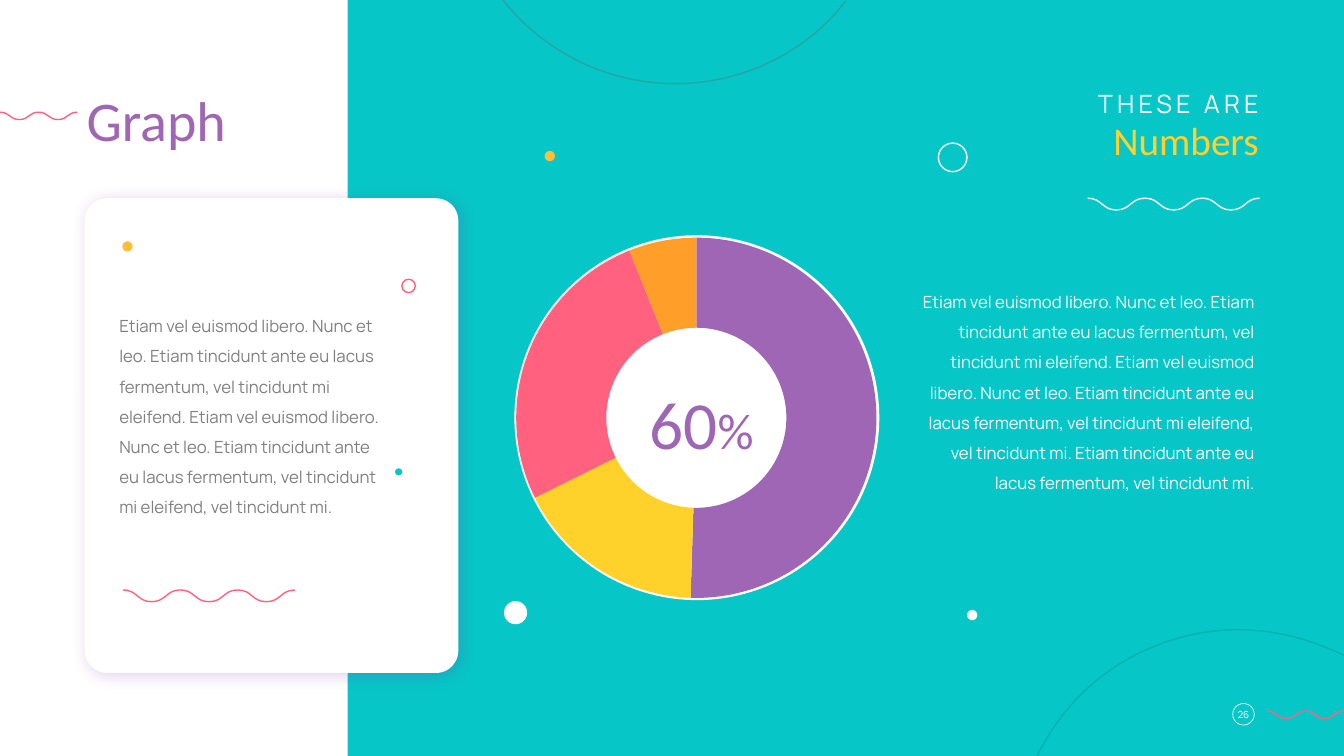
"""Build the Graph slide: a text card, a doughnut chart and wavy ornaments."""
from lxml import etree
from pptx import Presentation, util as u
from pptx.chart import data
from pptx.dml import color
from pptx.enum import chart as charts, shapes, text
from pptx.oxml import ns

COLUMNS, ROWS = 40, 22.5
CELL = u.Inches(7.5) / ROWS
COLOURS = {
    "white": "FFFFFF", "teal": "07C6C7", "purple": "9E66B5", "pink": "FF617F",
    "yellow": "FFD12A", "orange": "FF9F2A", "amber": "FFBD38", "grey": "808080",
    "label": "7E7F7E", "arc_low": "03B3B3", "arc_high": "25A5A3", "shade": "7030A0",
}
LEFT, CENTRE, RIGHT = (text.PP_ALIGN.LEFT, text.PP_ALIGN.CENTER, text.PP_ALIGN.RIGHT)
LOREM = ("Etiam vel euismod libero. Nunc et leo. Etiam tincidunt ante eu lacus fermentum, "
         "vel tincidunt mi eleifend")
TAIL = "Etiam tincidunt ante eu lacus fermentum, vel tincidunt mi."
CARD_TEXT = f"{LOREM}. {LOREM}, vel tincidunt mi."


def cells(*counts):
    return [u.Emu(round(count * CELL)) for count in counts]


def rgb(name):
    return color.RGBColor.from_string(COLOURS[name])


def paint(shape, fill=None, line=None, weight=1):
    shape.shadow.inherit = False
    if fill:
        shape.fill.solid()
        shape.fill.fore_color.rgb = rgb(fill)
    else:
        shape.fill.background()
    if line:
        shape.line.color.rgb = rgb(line)
        shape.line.width = u.Pt(weight)
    else:
        shape.line.fill.background()


def add_block(layer, kind, at, fill):
    block = layer.add_shape(kind, *cells(*at))
    paint(block, fill)
    return block


def add_circle(layer, left, top, size, fill=None, line=None, weight=1):
    circle = layer.add_shape(shapes.MSO_SHAPE.OVAL, *cells(left, top, size, size))
    paint(circle, fill, line, weight)


def add_card(layer):
    card = add_block(layer, shapes.MSO_SHAPE.ROUNDED_RECTANGLE, (2.52, 5.9, 11.12, 14.13), "white")
    card.adjustments[0] = 0.06
    effects = card._element.spPr.find(ns.qn("a:effectLst"))
    shadow = etree.SubElement(effects, ns.qn("a:outerShdw"), blurRad=str(u.Pt(11)),
                              dist=str(u.Pt(2)), dir=str(45 * 60000), algn="tl", rotWithShape="0")
    shade = etree.SubElement(shadow, ns.qn("a:srgbClr"), val=COLOURS["shade"])
    etree.SubElement(shade, ns.qn("a:alpha"), val="22000")


def add_text(layer, at, spans, colour, font, align=LEFT, spacing=None,
             anchor=text.MSO_ANCHOR.TOP, grow=True, right=0.1, tracking=None):
    box = layer.add_textbox(*cells(*at))
    frame = box.text_frame
    frame.word_wrap = True
    frame.auto_size = text.MSO_AUTO_SIZE.SHAPE_TO_FIT_TEXT if grow else text.MSO_AUTO_SIZE.NONE
    frame.vertical_anchor = anchor
    frame.margin_left, frame.margin_right = 0, u.Inches(right)
    para = frame.paragraphs[0]
    para.alignment = align
    if spacing:
        para.line_spacing = spacing
    for words, size in spans:
        span = para.add_run()
        span.text = words
        span.font.size = u.Pt(size)
        span.font.name = font
        span.font.color.rgb = rgb(colour)
        if tracking:
            span._r.get_or_add_rPr().set("spc", str(tracking * 100))


def add_curve(layer, start, curves, colour):
    builder = layer.build_freeform(*cells(*start))
    builder.add_line_segments([cells(*knot) for curve in curves for knot in curve], close=False)
    shape = builder.convert_to_shape()
    segments = list(shape._element.iter(ns.qn("a:lnTo")))
    outline = segments[0].getparent()
    for first in range(0, len(segments), 3):
        bezier = etree.SubElement(outline, ns.qn("a:cubicBezTo"))
        for segment in segments[first:first + 3]:
            bezier.append(segment[0])
            outline.remove(segment)
    paint(shape, line=colour)


def add_wave(layer, left, top, width, height, halves, colour):
    stride = width / halves
    curves = []
    for half in range(halves):
        x = left + half * stride
        y, target = (top, top + height) if half % 2 == 0 else (top + height, top)
        middle = x + stride / 2
        curves.append(((middle, y), (middle, target), (x + stride, target)))
    add_curve(layer, (left, top), curves, colour)


def add_doughnut(layer):
    values = data.CategoryChartData()
    values.categories = ["1", "2", "3", "4"]
    values.add_series("Series 1", (50, 17, 26, 6))
    chart = layer.add_chart(charts.XL_CHART_TYPE.DOUGHNUT,
                            *cells(11.08, 6.66, 19.29, 11.55), values).chart
    chart.has_legend = chart.has_title = False
    chart.font.name, chart.font.size = "Calibri", u.Pt(10)
    chart.font.color.rgb = rgb("label")
    plot = chart.plots[0]
    plot.vary_by_categories = True
    plot._element.find(ns.qn("c:holeSize")).set("val", "60")
    for index, name in enumerate(("purple", "yellow", "pink", "orange")):
        slice_format = plot.series[0].points[index].format
        slice_format.fill.solid()
        slice_format.fill.fore_color.rgb = rgb(name)
        slice_format.line.fill.background()


def main():
    deck = Presentation()
    deck.slide_width, deck.slide_height = cells(COLUMNS, ROWS)
    layer = deck.slides.add_slide(deck.slide_layouts[6]).shapes

    add_wave(layer, 0, 3.34, 2.3, 0.22, 4, "pink")
    add_block(layer, shapes.MSO_SHAPE.RECTANGLE, (10.35, 0, COLUMNS - 10.35, ROWS), "teal")
    add_card(layer)
    add_text(layer, (3.55, 8.95, 8.22, 8.4), [(CARD_TEXT, 12)], "grey", "Manrope",
             spacing=1.5, grow=False)
    add_circle(layer, 11.96, 8.31, 0.4, line="pink")
    add_circle(layer, 11.76, 13.94, 0.21, "teal")
    add_circle(layer, 3.64, 7.18, 0.31, "amber")
    add_text(layer, (2.58, 2.39, 13.41, 2.31), [("Graph", 40)], "purple", "Calibri")

    graph = layer.add_group_shape().shapes
    add_circle(graph, 15.31, 7, 10.86, "white")
    add_doughnut(graph)

    heading = layer.add_group_shape().shapes
    add_text(heading, (20.06, 3.32, 17.7, 1.71), [("Numbers", 28)], "yellow", "Calibri", RIGHT)
    add_text(heading, (20.06, 2.49, 17.7, 1.2), [("THESE ARE", 18)], "white", "Manrope",
             RIGHT, tracking=3)

    add_text(layer, (27.38, 8.23, 10.26, 8.4), [(f"{CARD_TEXT} {TAIL}", 12)], "white", "Manrope",
             RIGHT, spacing=1.5, grow=False)
    add_text(layer, (18.18, 10.2, 5.7, 3.57), [("60", 48), ("%", 36)], "purple", "Calibri",
             CENTRE, spacing=1.5, anchor=text.MSO_ANCHOR.MIDDLE)

    add_circle(layer, 16.21, 4.49, 0.31, "amber")
    add_circle(layer, 28.78, 18.15, 0.31, "white")
    add_circle(layer, 27.93, 4.26, 0.85, line="white")
    add_circle(layer, 15, 17.89, 0.69, "white")
    add_circle(layer, 36.69, 20.94, 0.64, line="white", weight=0.5)
    add_wave(layer, 37.7, 21.16, 2.3, 0.22, 4, "pink")
    add_text(layer, (36.45, 20.94, 1.11, 0.66), [("26", 7)], "white", "Manrope", CENTRE,
             anchor=text.MSO_ANCHOR.BOTTOM, right=0)

    add_curve(layer, (30.87, ROWS), [((32.02, 20.12), (34.4, 18.74), (36.88, 18.74)),
                                     ((37.84, 18.74), (38.9, 18.98), (COLUMNS, 19.5))], "arc_low")
    add_curve(layer, (25.17, 0.03), [((23.97, 1.59), (22.08, 2.49), (20.1, 2.49)),
                                     ((18.09, 2.49), (16.2, 1.56), (14.97, 0))], "arc_high")
    add_wave(layer, 3.66, 17.56, 5.12, 0.35, 6, "pink")
    add_wave(layer, 32.37, 5.9, 5.12, 0.35, 6, "white")
    deck.save("out.pptx")


if __name__ == "__main__":
    main()
